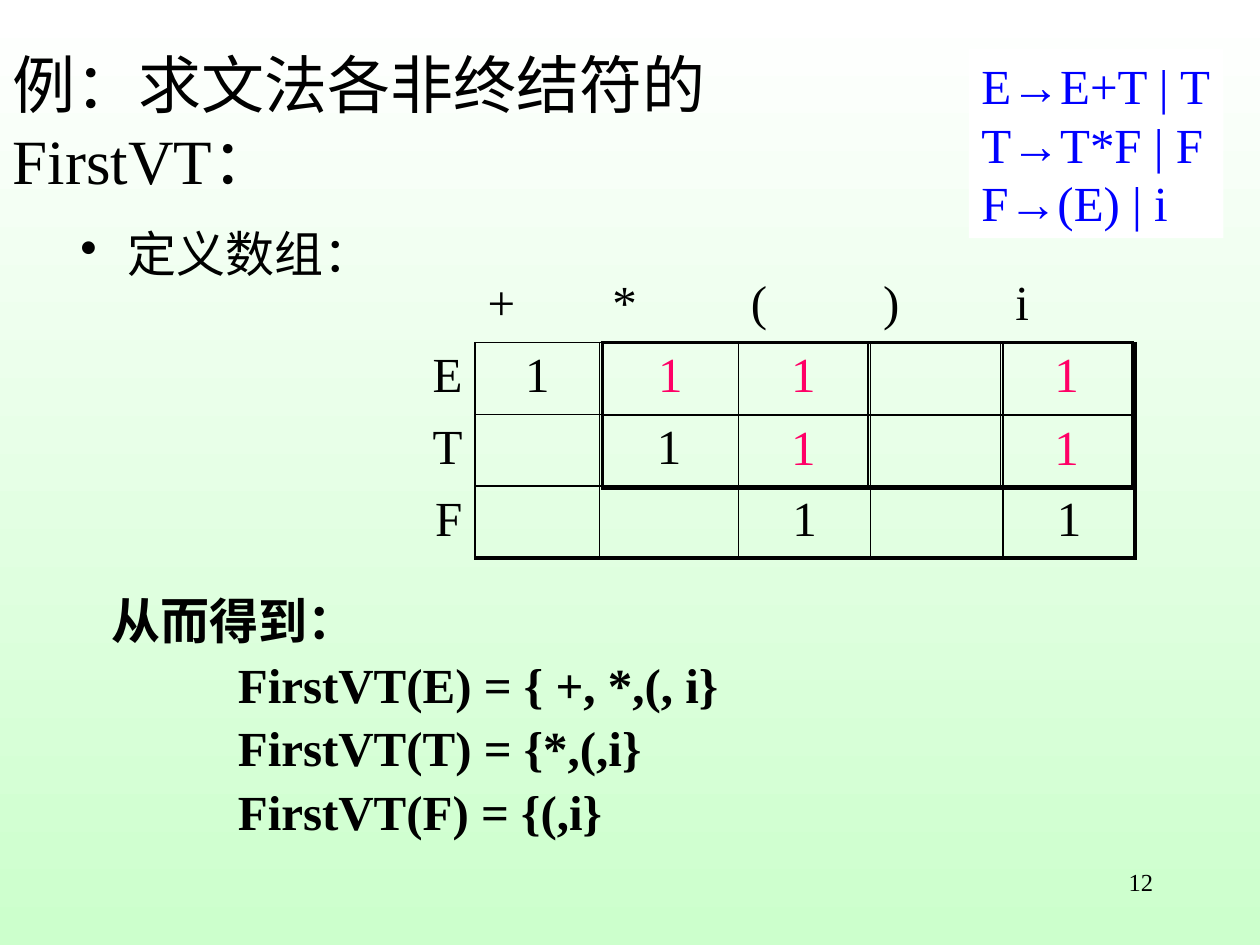
from dataclasses import dataclass
from lxml import etree
from pptx import Presentation
from pptx.dml.color import RGBColor
from pptx.enum import shapes, text
from pptx.oxml.ns import qn
from pptx.util import Pt


@dataclass(frozen=True)
class Theme:
    """Colours, type sizes and line widths."""
    font: str = "Times New Roman"
    ink: str = "000000"
    rule: str = "0000FF"
    mark: str = "FF0066"
    white: str = "FFFFFF"
    mint: str = "CCFFCC"
    head: int = 36
    main: int = 28
    note: int = 14
    thin: float = 1
    thick: float = 2.25


T = Theme()
LEFT, MID, RIGHT = (text.PP_ALIGN.LEFT, text.PP_ALIGN.CENTER,
                    text.PP_ALIGN.RIGHT)

TITLE = "例：求文法各非终结符的FirstVT："
LEAD = "定义数组："
RULES = ["E→E+T | T", "T→T*F | F", "F→(E) | i"]
GRID = [
    ["", "+", "*", "(", ")", "i"],
    ["E", "1", "", "", "", ""],
    ["T", "", "1", "", "", ""],
    ["F", "", "", "1", "", "1"],
]
ADDED = [["1", "1", "", "1"], ["", "1", "", "1"]]
RESULT = [
    "从而得到：",
    "\t\tFirstVT(E) = { +, *,(, i}",
    "\t\tFirstVT(T) = {*,(,i}",
    "\t\tFirstVT(F) = {(,i}",
]
PAGE = "12"

# left, top, width, height
BOX = {
    "title": (0, 34.56, 566.64, 69.84),
    "lead": (38.88, 128.16, 342.72, 36),
    "rules": (553.68, 28.08, 145.44, 108),
    "result": (56.88, 334.08, 480.24, 146.88),
    "page": (516.24, 491.76, 149.76, 36),
}
GRID_AT, GRID_COLS, GRID_ROW = (195.84, 154.8), (75.6, 71.3, 79.2, 75.6, 75.6, 75.6), 41.04
ADD_AT, ADD_COLS, ADD_ROW = (344.16, 195.84), (77.76, 74.16, 75.6, 75.6), 41.5


def pts(vals):
    """Turn plain numbers into point lengths."""
    return [Pt(v) for v in vals]


def put(para, words, size=T.main, hue=T.ink, bold=False, side=LEFT):
    """Add one formatted run to a paragraph."""
    para.alignment = side
    run = para.add_run()
    run.text = words
    font = run.font
    font.name, font.size, font.bold = T.font, Pt(size), bold
    font.color.rgb = RGBColor.from_string(hue)


def frame(slide, name):
    """Add a wrapping text box and return its text frame."""
    body = slide.shapes.add_textbox(*pts(BOX[name])).text_frame
    body.word_wrap = True
    return body


def edge(cell, side, width):
    """Draw one cell border, or none when the width is zero."""
    line = etree.SubElement(cell._tc.get_or_add_tcPr(), qn("a:ln" + side))
    if not width:
        etree.SubElement(line, qn("a:noFill"))
        return
    line.set("w", str(Pt(width)))
    fill = etree.SubElement(line, qn("a:solidFill"))
    etree.SubElement(fill, qn("a:srgbClr")).set("val", T.ink)


def table(slide, rows, at, cols, high, look, ruled):
    """Add a table; look styles a cell, ruled gives its L, R, T, B widths."""
    size = (sum(cols), high * len(rows))
    grid = slide.shapes.add_table(len(rows), len(cols), *pts(at + size)).table
    grid.first_row = grid.horz_banding = False
    for col, wide in zip(grid.columns, cols):
        col.width = Pt(wide)
    for r, row in enumerate(rows):
        grid.rows[r].height = Pt(high)
        for c, words in enumerate(row):
            cell = grid.cell(r, c)
            for side, width in zip("LRTB", ruled(r, c)):
                edge(cell, side, width)
            cell.fill.background()
            if words:
                put(cell.text_frame.paragraphs[0], words, **look(r, c))


def grid_look(r, c):
    """Left column heads, right row heads, centred values."""
    return {"side": LEFT if r == 0 else RIGHT if c == 0 else MID}


def grid_rule(r, c):
    """Rule the value cells only, heavy at right and bottom."""
    if r == 0 or c == 0:
        return 0, T.thin * (r > 0), 0, T.thin * (c > 0)
    return (T.thin, T.thick if c == len(GRID_COLS) - 1 else T.thin,
            T.thin, T.thick if r == len(GRID) - 1 else T.thin)


def add_look(r, c):
    """Centred values in the mark colour."""
    return {"side": MID, "hue": T.mark}


def add_rule(r, c):
    """Thin rules inside a heavy outline."""
    ends = (c == 0, c == len(ADD_COLS) - 1, r == 0, r == len(ADDED) - 1)
    return [T.thick if end else T.thin for end in ends]


def paint(slide):
    """Fill the background from white down to mint."""
    fill = slide.background.fill
    fill.gradient()
    fill.gradient_angle = 270
    for stop, hue, pos in zip(fill.gradient_stops, (T.white, T.mint), (0, 1)):
        stop.color.rgb = RGBColor.from_string(hue)
        stop.position = pos


def title(slide):
    """Place and fill the title."""
    head = slide.shapes.title
    head.left, head.top, head.width, head.height = pts(BOX["title"])
    body = head.text_frame
    body.word_wrap = True
    body.margin_right = Pt(20)
    body.auto_size = text.MSO_AUTO_SIZE.NONE
    body.vertical_anchor = text.MSO_ANCHOR.MIDDLE
    put(body.paragraphs[0], TITLE, T.head)


def lead(slide):
    """Add the bulleted line."""
    para = frame(slide, "lead").paragraphs[0]
    put(para, LEAD)
    para.line_spacing = 0.9
    props = para._p.get_or_add_pPr()
    props.set("marL", str(Pt(27)))
    props.set("indent", str(Pt(-27)))
    etree.SubElement(props, qn("a:buChar")).set("char", "•")


def rules(slide):
    """Add the grammar on its white panel."""
    panel = slide.shapes.add_shape(shapes.MSO_SHAPE.RECTANGLE,
                                   *pts(BOX["rules"]))
    panel.shadow.inherit = False
    panel.fill.solid()
    panel.fill.fore_color.rgb = RGBColor.from_string(T.white)
    panel.line.fill.background()
    body = panel.text_frame
    body.word_wrap = False
    body.vertical_anchor = text.MSO_ANCHOR.TOP
    para = body.paragraphs[0]
    for i, words in enumerate(RULES):
        if i:
            para.add_line_break()
        put(para, words, hue=T.rule)


def result(slide):
    """Add the resulting sets."""
    body = frame(slide, "result")
    for i, words in enumerate(RESULT):
        para = body.add_paragraph() if i else body.paragraphs[0]
        para.space_before = Pt(2.6 if i else 0)
        put(para, words, bold=True)


def main():
    """Build and save the slide."""
    deck = Presentation()
    deck.slide_width, deck.slide_height = Pt(720), Pt(540)
    slide = deck.slides.add_slide(deck.slide_layouts[5])
    paint(slide)
    title(slide)
    lead(slide)
    table(slide, GRID, GRID_AT, GRID_COLS, GRID_ROW, grid_look, grid_rule)
    rules(slide)
    table(slide, ADDED, ADD_AT, ADD_COLS, ADD_ROW, add_look, add_rule)
    result(slide)
    put(frame(slide, "page").paragraphs[0], PAGE, T.note, side=RIGHT)
    deck.save("out.pptx")


main()
